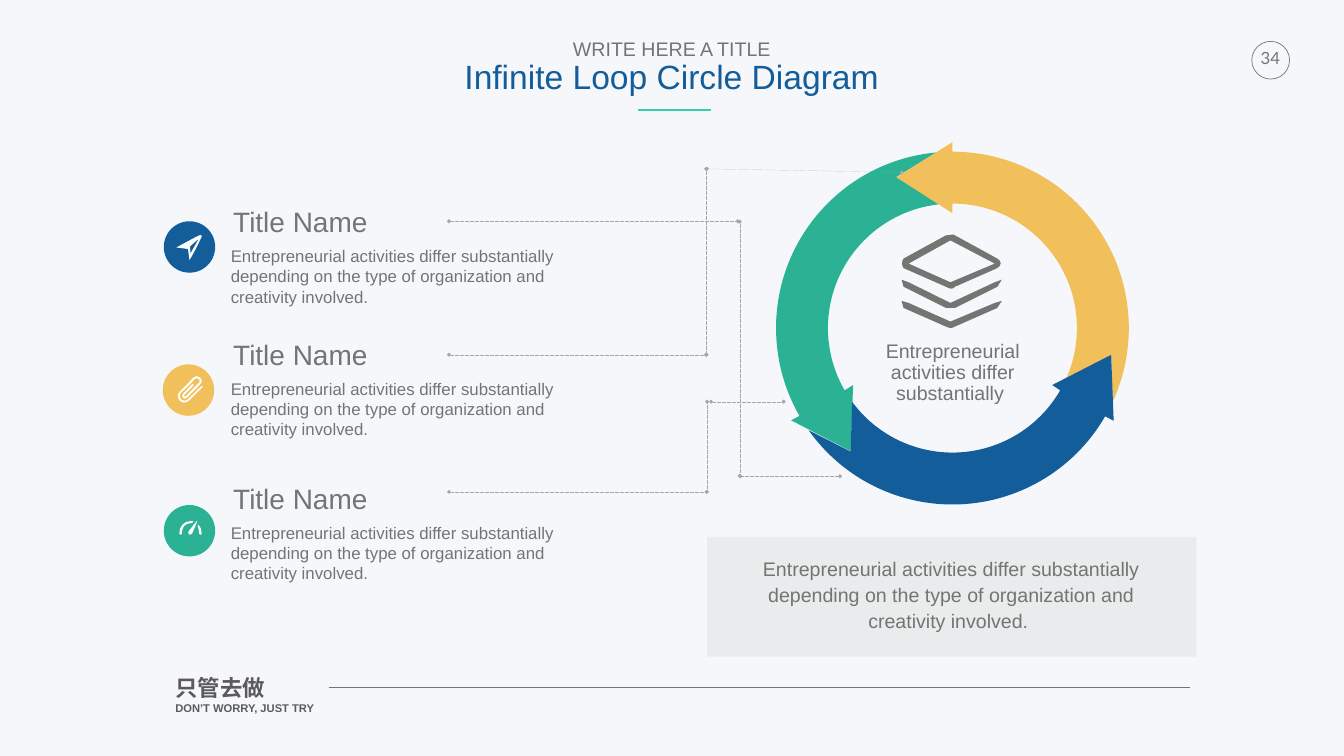
import math

import lxml.etree
import pptx
import pptx.dml.color
import pptx.enum.dml
import pptx.enum.shapes
import pptx.enum.text
import pptx.oxml.ns
import pptx.util

Inches, Pt = pptx.util.Inches, pptx.util.Pt
RGB = pptx.dml.color.RGBColor
SHAPE = pptx.enum.shapes.MSO_SHAPE
ALIGN = pptx.enum.text.PP_ALIGN
ANCHOR = pptx.enum.text.MSO_ANCHOR
qn = pptx.oxml.ns.qn

BACKGROUND = RGB(0xF6, 0xF7, 0xFA)
GRAY = RGB(0x73, 0x75, 0x72)
DARK = RGB(0x5B, 0x5B, 0x5B)
PANEL = RGB(0xD9, 0xD9, 0xD9)
LEADER = RGB(0xA6, 0xA6, 0xA6)
BLUE = RGB(0x13, 0x5D, 0x9A)
YELLOW = RGB(0xF1, 0xC0, 0x5A)
GREEN = RGB(0x2B, 0xB2, 0x94)
MINT = RGB(0x33, 0xD1, 0xAD)
WHITE = RGB(0xFF, 0xFF, 0xFF)

BODY = ("Entrepreneurial activities differ substantially depending on "
        "the type of organization and creativity involved.")
CX, CY, OUTER, INNER = 18.9, 6.51, 3.5, 2.47  # ring centre and radii

prs = pptx.Presentation()
prs.slide_width, prs.slide_height = Inches(26.67), Inches(15)
s = prs.slides.add_slide(prs.slide_layouts[6])
s.background.fill.solid()
s.background.fill.fore_color.rgb = BACKGROUND


def add_text(box, lines, inset=0.05, font="Arial", color=GRAY, bold=False, align=None,
             anchor=ANCHOR.TOP, spacing=None, wrap=True):
    """Add a text box; each line is (text, size) or (text, size, color)."""
    tf = s.shapes.add_textbox(*map(Inches, box)).text_frame
    tf.word_wrap = wrap
    tf.auto_size = pptx.enum.text.MSO_AUTO_SIZE.SHAPE_TO_FIT_TEXT
    tf.vertical_anchor = anchor
    tf.margin_left = tf.margin_top = tf.margin_right = tf.margin_bottom = Inches(inset)
    for i, (text, size, *own_color) in enumerate(lines):
        p = tf.add_paragraph() if i else tf.paragraphs[0]
        p.alignment, p.line_spacing = align, spacing
        r = p.add_run()
        r.text = text
        r.font.name, r.font.size, r.font.bold = font, Pt(size), bold
        r.font.color.rgb = own_color[0] if own_color else color


def add_outline(contours, color):
    """Fill contours made of points (x, y), ring arcs (radius, from, to) and cubics (6 numbers)."""
    builder, sizes = None, []  # sizes: points used by each segment, 1 for a line, 3 for a cubic
    for contour in contours:
        pts, first = [], len(sizes)
        for step in contour:
            if len(step) != 3:
                pts += zip(step[::2], step[1::2])
                sizes.append(len(step) // 2)
                continue
            radius, start, end = step
            quarters = [a for a in range(-90, 360, 90) if min(start, end) < a < max(start, end)]
            stops = sorted({start, end, *quarters}, reverse=start > end)
            for i, stop in enumerate(stops):
                a = math.radians(stop)
                x, y = radius * math.cos(a), radius * math.sin(a)
                if i:
                    k = 4 / 3 * math.tan((a - last) / 4)
                    pts += [(CX + x0 - k * y0, CY + y0 + k * x0), (CX + x + k * y, CY + y - k * x)]
                pts.append((CX + x, CY + y))
                sizes.append(3 if i else 1)
                last, x0, y0 = a, x, y
        del sizes[first]
        emu = [(Inches(x), Inches(y)) for x, y in pts]
        if builder is None:
            builder = s.shapes.build_freeform(*emu[0])
        else:
            builder.move_to(*emu[0])
        builder.add_line_segments(emu[1:], close=True)
    sp = builder.convert_to_shape()
    segments = iter(list(sp._element.iter(qn("a:lnTo"))))
    for size in sizes:
        segment = next(segments)
        if size == 3:
            segment.tag = qn("a:cubicBezTo")
            for extra in (next(segments), next(segments)):
                segment.append(extra[0])
                extra.getparent().remove(extra)
    sp.shadow.inherit = False
    sp.fill.solid()
    sp.fill.fore_color.rgb = color
    sp.line.fill.background()


# Page number and footer
sp = s.shapes.add_shape(SHAPE.OVAL, *map(Inches, (24.84, 0.82, 0.75, 0.75)))
sp.shadow.inherit = False
sp.fill.background()
sp.line.color.rgb, sp.line.width = GRAY, Pt(1)
add_text((24.92, 0.9, 0.58, 0.6), [("34", 24)], inset=0.04, font="Lato",
         align=ALIGN.CENTER, wrap=False)
add_text((3.43, 13.33, 3.99, 0.99), [("只管去做", 32), ("DON’T WORRY, JUST TRY", 16)],
         color=DARK, bold=True)

# Ring of three arrows
add_outline([[(INNER, 264, 150), (16.93, 7.64), (16.88, 8.95), (15.7, 8.34),
              (15.87, 8.25), (OUTER, 150, 264.8), (17.79, 3.51)]], GREEN)
add_outline([[(INNER, 23.5, -90), (18.9, 4.23), (17.79, 3.52), (18.9, 2.82),
              (OUTER, -90, 24.7), (22.05, 7.04)]], YELLOW)
add_outline([[(OUTER, 30, 144.6), (16.88, 8.96), (16.91, 7.98), (INNER, 143.5, 30),
              (20.88, 7.64), (22.05, 7.04), (22.1, 8.35)]], BLUE)

# Icons
plane = [
    [(4, 4.67), (3.98, 4.65, 3.97, 4.67, 3.91, 4.69), (3.76, 4.77, 3.5, 4.91, 3.5, 4.91),
     (3.73, 4.94), (3.76, 5.16), (3.76, 5.16, 3.91, 4.91, 3.97, 4.76),
     (4, 4.7, 4.02, 4.68, 4, 4.67)],
    [(3.95, 4.73), (3.78, 5.03), (3.77, 4.89)]]
clip = [
    [(3.65, 7.99), (3.63, 7.99, 3.59, 7.97, 3.57, 7.95), (3.52, 7.91, 3.51, 7.82, 3.57, 7.77),
     (3.61, 7.73, 3.76, 7.58, 3.83, 7.5), (3.86, 7.47, 3.9, 7.46, 3.93, 7.47),
     (3.96, 7.48, 3.99, 7.51, 4, 7.54), (4.01, 7.57, 4, 7.6, 3.97, 7.63), (3.72, 7.88),
     (3.7, 7.9, 3.68, 7.91, 3.67, 7.91), (3.65, 7.91, 3.64, 7.91, 3.63, 7.89),
     (3.61, 7.87, 3.61, 7.84, 3.64, 7.8), (3.82, 7.62), (3.84, 7.62), (3.84, 7.65),
     (3.66, 7.83), (3.65, 7.84, 3.65, 7.86, 3.65, 7.87), (3.66, 7.87),
     (3.67, 7.87, 3.68, 7.86, 3.69, 7.86), (3.94, 7.6), (3.96, 7.59, 3.97, 7.57, 3.96, 7.55),
     (3.96, 7.53, 3.94, 7.51, 3.92, 7.51), (3.9, 7.5, 3.88, 7.51, 3.86, 7.53),
     (3.79, 7.6, 3.64, 7.76, 3.6, 7.78), (3.55, 7.84, 3.56, 7.9, 3.6, 7.93),
     (3.63, 7.95, 3.68, 7.97, 3.73, 7.92), (4, 7.66), (4.02, 7.66), (4.02, 7.68),
     (3.76, 7.94), (3.73, 7.97, 3.69, 7.99, 3.65, 7.99)]]
gauge = [
    [(3.74, 10.55), (3.73, 10.57, 3.74, 10.59, 3.76, 10.61),
     (3.77, 10.61, 3.8, 10.61, 3.81, 10.59), (3.83, 10.56, 3.92, 10.33, 3.92, 10.33),
     (3.91, 10.32, 3.76, 10.52, 3.74, 10.55)],
    [(3.78, 10.38), (3.81, 10.38), (3.82, 10.37, 3.83, 10.36, 3.84, 10.34), (3.78, 10.34),
     (3.66, 10.34, 3.56, 10.44, 3.56, 10.57), (3.56, 10.59),
     (3.56, 10.61, 3.58, 10.61, 3.59, 10.61), (3.6, 10.61, 3.61, 10.6, 3.61, 10.59),
     (3.61, 10.57), (3.61, 10.46, 3.68, 10.38, 3.78, 10.38)],
    [(3.94, 10.41), (3.92, 10.45), (3.95, 10.48, 3.95, 10.53, 3.95, 10.57), (3.95, 10.59),
     (3.95, 10.6, 3.96, 10.61, 3.98, 10.61), (3.99, 10.61, 4, 10.61, 4, 10.59),
     (4, 10.57), (4, 10.51, 3.98, 10.45, 3.94, 10.41)]]
layers = [
    [(17.93, 5.32), (18.77, 5.69), (18.86, 5.74, 18.91, 5.74, 18.95, 5.69), (19.79, 5.32),
     (19.88, 5.27, 19.88, 5.18, 19.79, 5.13), (18.95, 4.67),
     (18.91, 4.63, 18.86, 4.67, 18.77, 4.67), (17.93, 5.13),
     (17.89, 5.18, 17.89, 5.27, 17.93, 5.32)],
    [(18.86, 4.77), (19.74, 5.23), (18.86, 5.6), (18.03, 5.23)],
    [(18.86, 6.38), (18.03, 6.01), (17.89, 5.97), (17.93, 6.11), (18.77, 6.48),
     (18.86, 6.52, 18.91, 6.52, 18.95, 6.48), (19.79, 6.11), (19.88, 5.97), (19.74, 6.01)],
    [(17.93, 5.69), (18.77, 6.11), (18.95, 6.11), (19.79, 5.69), (19.88, 5.55),
     (19.74, 5.6), (18.86, 6.01), (18.03, 5.6), (17.89, 5.55)]]

# Three items: badge, title and description
for badge_x, badge_y, text_y, color, icon in (
        (3.25, 4.39, 3.96, BLUE, plane),
        (3.23, 7.23, 6.59, YELLOW, clip),
        (3.25, 10.02, 9.45, GREEN, gauge)):
    sp = s.shapes.add_shape(SHAPE.OVAL, *map(Inches, (badge_x, badge_y, 1.02, 1.02)))
    sp.shadow.inherit = False
    sp.fill.solid()
    sp.fill.fore_color.rgb = color
    sp.line.fill.background()
    add_outline(icon, WHITE)
    add_text((4.53, text_y, 6.55, 0.87), [("Title Name", 40)], inset=0.1)
    add_text((4.53, text_y + 0.87, 6.55, 1.31), [(BODY, 24)])

# Summary panel
sp = s.shapes.add_shape(SHAPE.RECTANGLE, *map(Inches, (14.03, 10.65, 9.71, 2.38)))
sp.shadow.inherit = False
sp.fill.solid()
sp.fill.fore_color.rgb = PANEL
sp.line.fill.background()
panel_color = sp.fill._xPr.find(".//" + qn("a:srgbClr"))
lxml.etree.SubElement(panel_color, qn("a:alpha"), val="40000")
add_text((14.68, 11.02, 8.38, 1.51), [(BODY + " ", 28)], inset=0, align=ALIGN.CENTER,
         anchor=ANCHOR.MIDDLE, spacing=1.1)

# Heading
add_text((9.16, 0.74, 8.34, 1.33),
         [("WRITE HERE A TITLE", 28), ("Infinite Loop Circle Diagram", 48, BLUE)],
         align=ALIGN.CENTER, spacing=0.9, wrap=False)

# Rules, then dashed leaders from the items to the ring
rules = [(6.52, 13.64, 23.62, 13.64, GRAY, 0.25), (14.11, 2.18, 12.67, 2.18, MINT, 3)]
leaders = [(8.91, 4.39, 14.64, 4.39), (14.68, 4.4, 14.68, 9.44), (14.69, 9.45, 16.67, 9.45),
           (8.91, 7.04, 14.02, 7.04), (14.03, 3.35, 17.89, 3.42), (8.91, 9.76, 14.02, 9.76),
           (14.03, 7.97, 14.03, 9.76), (14.11, 7.97, 15.55, 7.97), (14.01, 3.35, 14.01, 7.04)]
for *ends, color, width in rules + [(*leader, LEADER, 0.25) for leader in leaders]:
    c = s.shapes.add_connector(pptx.enum.shapes.MSO_CONNECTOR.STRAIGHT, *map(Inches, ends))
    c.line.color.rgb, c.line.width = color, Pt(width)
    if color == LEADER:
        c.line.dash_style = pptx.enum.dml.MSO_LINE.DASH
        for end in ("a:headEnd", "a:tailEnd"):
            lxml.etree.SubElement(c.line._get_or_add_ln(), qn(end), type="diamond")
    lxml.etree.SubElement(c._element.spPr, qn("a:effectLst"))

# Ring centre
add_outline(layers, GRAY)
add_text((17.04, 6.68, 3.73, 1.51), [("Entrepreneurial activities differ substantially ", 28)],
         inset=0.1, align=ALIGN.CENTER, spacing=0.89)

prs.save("out.pptx")
